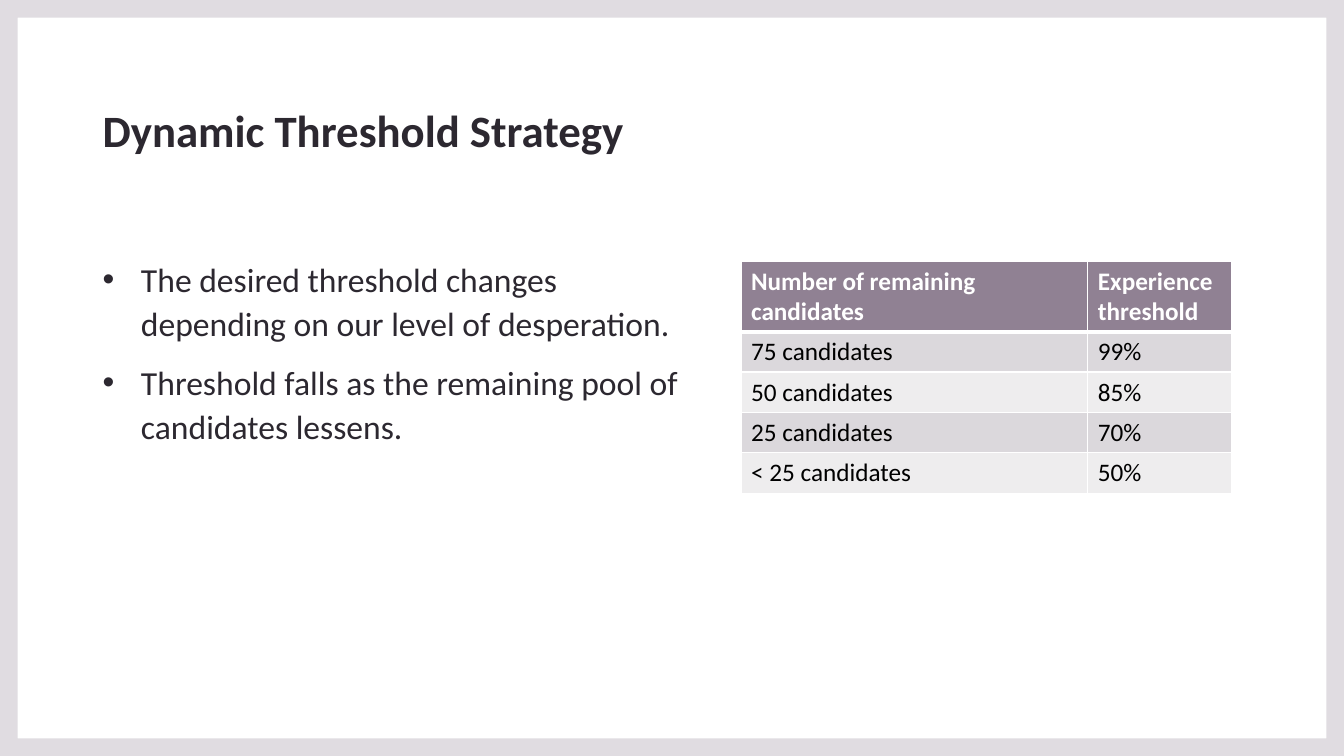
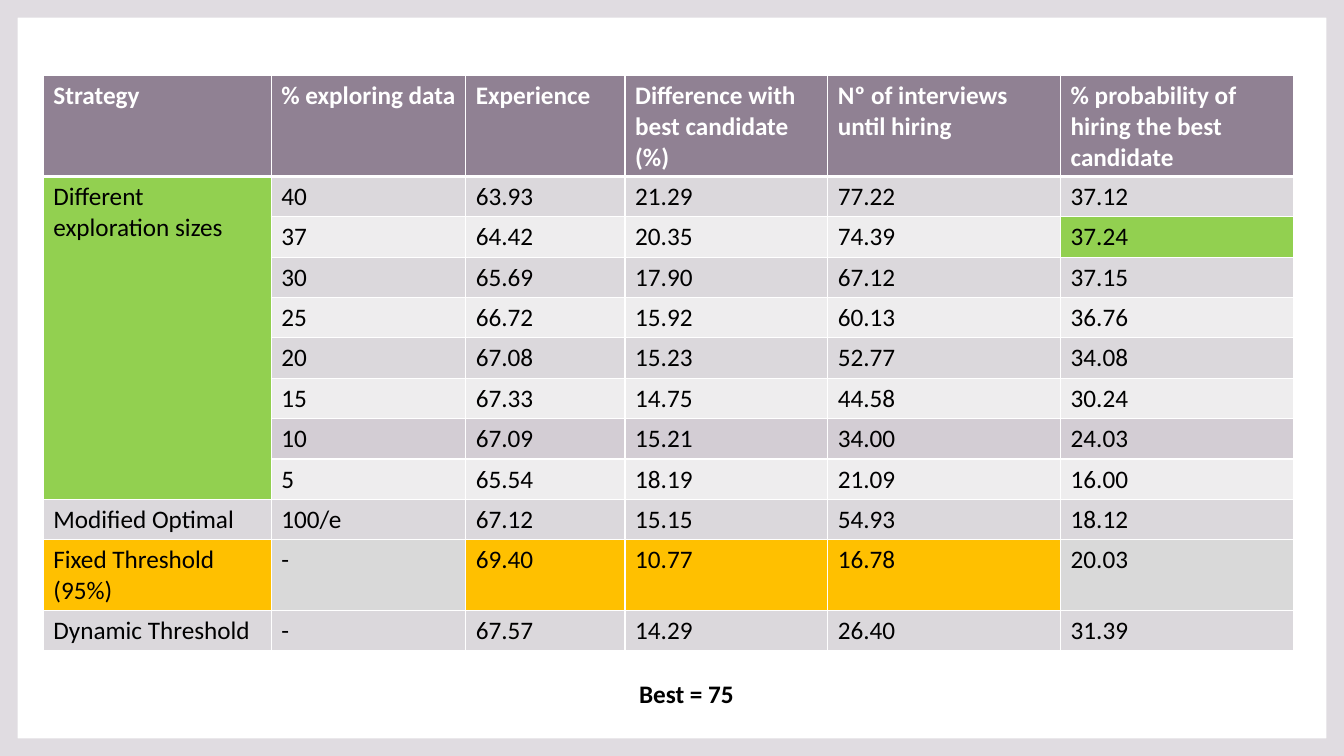
import lxml.etree
import pptx
import pptx.dml.color
import pptx.enum.shapes
import pptx.enum.text
import pptx.oxml.ns
import pptx.util

Inches = pptx.util.Inches
Pt = pptx.util.Pt
RGBColor = pptx.dml.color.RGBColor
qn = pptx.oxml.ns.qn

FONT = "Calibri"
INK = RGBColor(0x2C, 0x28, 0x30)
BLACK = RGBColor(0, 0, 0)
WHITE = RGBColor(0xFF, 0xFF, 0xFF)
EDGE = RGBColor(0xE0, 0xDC, 0xE1)
HEAD = RGBColor(0x90, 0x81, 0x93)
DARK = RGBColor(0xDB, 0xD8, 0xDC)
PALE = RGBColor(0xEE, 0xED, 0xEE)
MAUVE = RGBColor(0xD3, 0xCD, 0xD4)
GREY = RGBColor(0xD9, 0xD9, 0xD9)
GREEN = RGBColor(0x92, 0xD0, 0x50)
AMBER = RGBColor(0xFF, 0xC0, 0x00)

WIDE, HIGH = 13.33, 7.5
ROW = 0.4


def add_run(para, text, size, color, bold=False):
    run = para.add_run()
    run.text = text
    font = run.font
    font.name, font.size, font.bold = FONT, Pt(size), bold
    font.color.rgb = color


def add_box(slide, box):
    frame = slide.shapes.add_textbox(*map(Inches, box)).text_frame
    frame.word_wrap = True
    return frame


# Shared page: white ground with a tinted border
def add_page(deck):
    slide = deck.slides.add_slide(deck.slide_layouts[6])
    slide.background.fill.solid()
    slide.background.fill.fore_color.rgb = WHITE
    border = slide.shapes.add_shape(
        pptx.enum.shapes.MSO_SHAPE.FRAME, 0, 0, Inches(WIDE), Inches(HIGH))
    border.adjustments[0] = 0.175 / HIGH
    border.shadow.inherit = False
    border.fill.solid()
    border.fill.fore_color.rgb = EDGE
    border.line.fill.background()
    return slide


def add_title(slide, box, text):
    frame = add_box(slide, box)
    frame.vertical_anchor = pptx.enum.text.MSO_ANCHOR.BOTTOM
    para = frame.paragraphs[0]
    para.line_spacing = 1.1
    add_run(para, text, 32, INK, True)


def add_list(slide, box, items):
    frame = add_box(slide, box)
    for num, item in enumerate(items):
        para = frame.add_paragraph() if num else frame.paragraphs[0]
        para.line_spacing = 1.1
        para.space_before = Pt(10)
        add_run(para, item, 24, INK)
        # Bullet with hanging indent
        props = para._p.get_or_add_pPr()
        props.set("marL", str(Inches(0.38)))
        props.set("indent", str(-Inches(0.38)))
        lxml.etree.SubElement(props, qn("a:buFont")).set("typeface", "Arial")
        lxml.etree.SubElement(props, qn("a:buChar")).set("char", "•")


def add_lines(cell, top, base):
    props = cell._tc.get_or_add_tcPr()
    for side, width in (("L", 1), ("R", 1), ("T", top), ("B", base)):
        line = lxml.etree.SubElement(props, qn("a:ln" + side))
        line.set("w", str(Pt(width)))
        fill = lxml.etree.SubElement(line, qn("a:solidFill"))
        lxml.etree.SubElement(fill, qn("a:srgbClr")).set("val", str(WHITE))


# Banded table; tints recolour whole rows, marks recolour single cells
def add_grid(slide, left, top, cols, rows, tall, tints={}, marks={}):
    highs = [tall.get(r, ROW) for r in range(len(rows))]
    grid = slide.shapes.add_table(
        len(rows), len(cols), Inches(left), Inches(top),
        Inches(sum(cols)), Inches(sum(highs))).table
    grid.horz_banding = False
    for col, width in zip(grid.columns, cols):
        col.width = Inches(width)
    for r, row in enumerate(rows):
        grid.rows[r].height = Inches(highs[r])
        band = HEAD if r == 0 else tints.get(r, DARK if r % 2 else PALE)
        for c, text in enumerate(row):
            cell = grid.cell(r, c)
            add_lines(cell, 3 if r == 1 else 1, 3 if r == 0 else 1)
            cell.fill.solid()
            cell.fill.fore_color.rgb = marks.get((r, c), band)
            if text:
                add_run(cell.text_frame.paragraphs[0], text, 18,
                        BLACK if r else WHITE, r == 0)
    return grid


def add_plan(deck):
    slide = add_page(deck)
    add_title(slide, (0.92, 0.15, 11.5, 1.45), "Dynamic Threshold Strategy")
    add_list(slide, (0.92, 2.48, 5.91, 3.22), [
        "The desired threshold changes depending on our level of desperation.",
        "Threshold falls as the remaining pool of candidates lessens.",
    ])
    add_grid(slide, 7.35, 2.59, (3.44, 1.43), [
        ("Number of remaining candidates", "Experience threshold"),
        ("75 candidates", "99%"),
        ("50 candidates", "85%"),
        ("25 candidates", "70%"),
        ("< 25 candidates", "50%"),
    ], {0: 0.7})


def add_scores(deck):
    slide = add_page(deck)
    rows = [
        ("Strategy", "% exploring data", "Experience",
         "Difference with best candidate (%)",
         "Nº of interviews until hiring",
         "% probability of hiring the best candidate"),
        ("Different exploration sizes",
         "40", "63.93", "21.29", "77.22", "37.12"),
        ("", "37", "64.42", "20.35", "74.39", "37.24"),
        ("", "30", "65.69", "17.90", "67.12", "37.15"),
        ("", "25", "66.72", "15.92", "60.13", "36.76"),
        ("", "20", "67.08", "15.23", "52.77", "34.08"),
        ("", "15", "67.33", "14.75", "44.58", "30.24"),
        ("", "10", "67.09", "15.21", "34.00", "24.03"),
        ("", "5", "65.54", "18.19", "21.09", "16.00"),
        ("Modified Optimal", "100/e", "67.12", "15.15", "54.93", "18.12"),
        ("Fixed Threshold (95%)", "-", "69.40", "10.77", "16.78", "20.03"),
        ("Dynamic Threshold", "-", "67.57", "14.29", "26.40", "31.39"),
    ]
    # Green for the best odds, amber for the best of the rest
    marks = {(r, 0): GREEN for r in range(1, 9)}
    marks[2, 5] = GREEN
    marks.update({(10, c): AMBER for c in (0, 2, 3, 4)})
    grid = add_grid(slide, 0.43, 0.75, (2.26, 1.93, 1.58, 2.01, 2.31, 2.31),
                    rows, {0: 1, 10: 0.7}, {7: MAUVE, 10: GREY}, marks)
    grid.cell(1, 0).merge(grid.cell(8, 0))
    note = add_box(slide, (6.24, 6.68, 1.73, 0.4))
    add_run(note.paragraphs[0], "Best = 75", 18, BLACK, True)


def main():
    deck = pptx.Presentation()
    deck.slide_width, deck.slide_height = Inches(WIDE), Inches(HIGH)
    add_plan(deck)
    add_scores(deck)
    deck.save("out.pptx")


if __name__ == "__main__":
    main()
